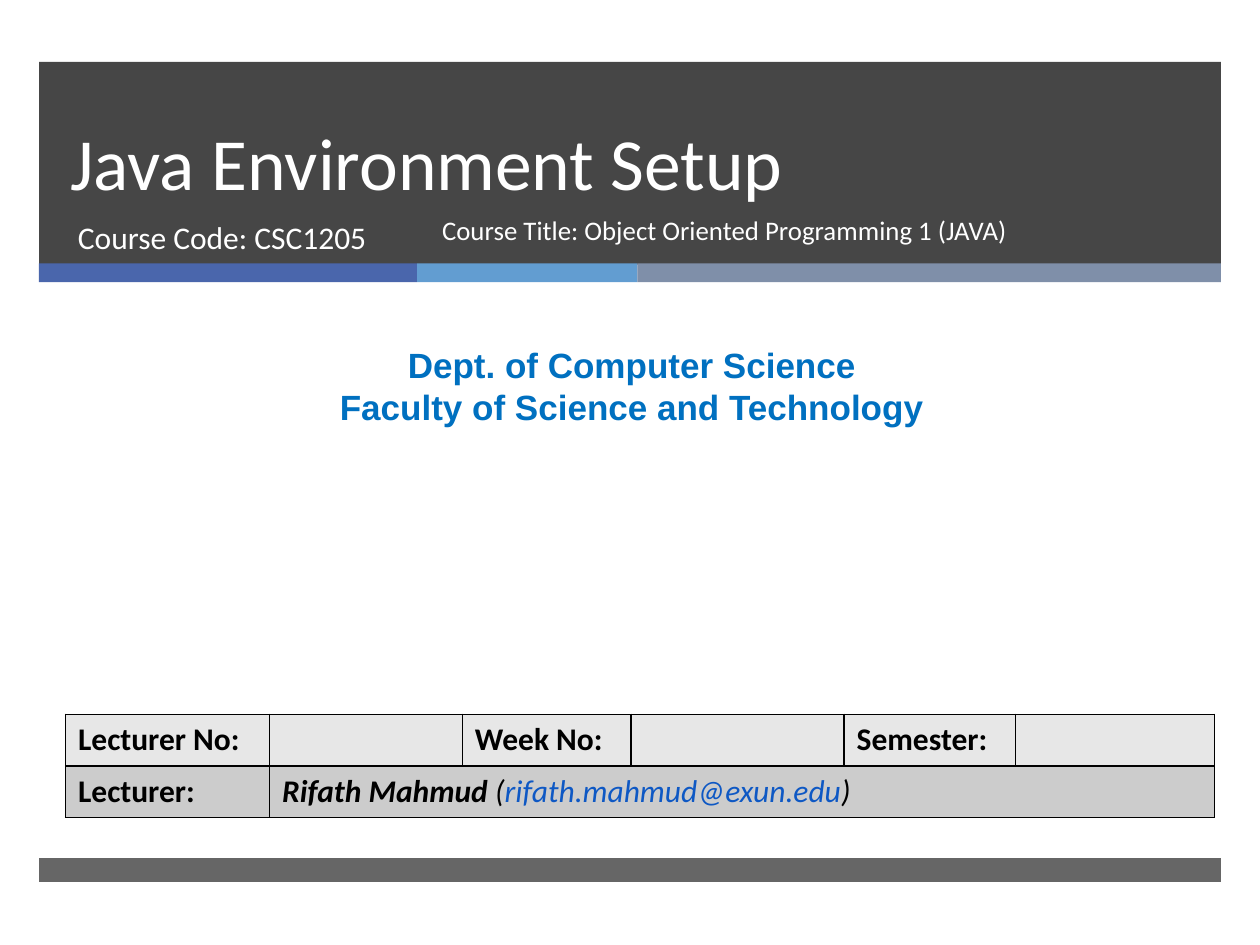
"""Build the title slide of a Java course lecture."""
from pptx import Presentation
from pptx.dml.color import RGBColor
from pptx.enum import shapes, text
from pptx.oxml import parse_xml
from pptx.oxml.ns import nsdecls
from pptx.util import Inches, Pt

HUE = {"dark": "262626", "navy": "4A66AC", "sky": "629DD1", "slate": "7F8FA9",
       "white": "FFFFFF", "blue": "0070C0", "black": "000000", "link": "0E58C4",
       "pale": "E7E7E7", "grey": "CCCCCC"}
LEFT, WIDE = 0.31, 9.38
BANDS = [(0.49, 1.61, 85, [("dark", WIDE)]),
         (2.09, 0.15, 100, [("navy", 3), ("sky", 1.75), ("slate", 4.63)]),
         (6.81, 0.19, 70, [("dark", WIDE)])]
TITLE = {"size": 42, "hue": "white"}
CODE = {"size": 18, "hue": "white"}
NAME = {"size": 15.3, "hue": "white"}
DEPT = {"size": 20, "hue": "blue", "font": "Arial", "bold": True}
BOXES = [
    ((0.46, 0.49, 8.54, 1.19), ["Java Environment Setup"], TITLE, Pt(46), "BOTTOM", "LEFT"),
    ((0.52, 1.68, 3.05, 0.53), ["Course Code: CSC1205"], CODE, None, "TOP", "LEFT"),
    ((0.08, 2.68, 9.87, 0.77),
     ["Dept. of Computer Science", "Faculty of Science and Technology"],
     DEPT, None, "TOP", "CENTER"),
    ((3.41, 1.68, 4.78, 0.53), ["Course Title: Object Oriented Programming 1 (JAVA)"],
     NAME, 0.9, "TOP", "LEFT"),
]
BOLD, SLANT = {"bold": True}, {"italic": True}
COLS = [1.62, 1.53, 1.34, 1.69, 1.36, 1.58]
ROW = 0.41
ROWS = [
    ("pale", {0: [("Lecturer No:", BOLD)], 2: [("Week No:", BOLD)],
              4: [("Semester:", BOLD)]}),
    ("grey", {0: [("Lecturer:", BOLD)],
              1: [("Rifath Mahmud", {**BOLD, **SLANT}), (" (", SLANT),
                  ("rifath.mahmud@exun.edu", {**SLANT, "hue": "link"}), (")", SLANT)]}),
]


def rgb(hue):
    return RGBColor.from_string(HUE[hue])


def add_run(para, words, size=18, hue="black", font="Calibri", bold=False, italic=False):
    run = para.add_run()
    run.text = words
    face = run.font
    face.name, face.size, face.bold, face.italic = font, Pt(size), bold, italic
    face.color.rgb = rgb(hue)


def add_bar(slide, left, top, width, height, hue, alpha):
    bar = slide.shapes.add_shape(shapes.MSO_SHAPE.RECTANGLE,
                                 *map(Inches, (left, top, width, height)))
    bar.shadow.inherit = False
    bar.line.fill.background()
    bar.fill.solid()
    bar.fill.fore_color.rgb = rgb(hue)
    if alpha < 100:
        tint = bar.fill._xPr.find(".//{*}srgbClr")
        tint.append(parse_xml(f'<a:alpha {nsdecls("a")} val="{alpha * 1000}"/>'))


def add_box(slide, place, lines, style, gap, anchor, align):
    frame = slide.shapes.add_textbox(*map(Inches, place)).text_frame
    frame.word_wrap = True
    frame.vertical_anchor = getattr(text.MSO_ANCHOR, anchor)
    for i, line in enumerate(lines):
        para = frame.add_paragraph() if i else frame.paragraphs[0]
        para.alignment = getattr(text.PP_ALIGN, align)
        if gap:
            para.line_spacing = gap
        add_run(para, line, **style)


def style_cell(cell, hue):
    props = cell._tc.get_or_add_tcPr()
    for side in ("lnL", "lnR", "lnT", "lnB"):
        props.append(parse_xml(
            f'<a:{side} {nsdecls("a")} w="12700"><a:solidFill>'
            f'<a:srgbClr val="{HUE["black"]}"/></a:solidFill></a:{side}>'))
    cell.fill.solid()
    cell.fill.fore_color.rgb = rgb(hue)


def add_grid(slide):
    place = (0.52, 5.67, sum(COLS), ROW * len(ROWS))
    grid = slide.shapes.add_table(len(ROWS), len(COLS), *map(Inches, place)).table
    for col, width in zip(grid.columns, COLS):
        col.width = Inches(width)
    for r, (hue, cells) in enumerate(ROWS):
        grid.rows[r].height = Inches(ROW)
        for c in range(len(COLS)):
            cell = grid.cell(r, c)
            style_cell(cell, hue)
            for words, style in cells.get(c, []):
                add_run(cell.text_frame.paragraphs[0], words, **style)
    grid.cell(1, 1).merge(grid.cell(1, len(COLS) - 1))


deck = Presentation()
deck.slide_width, deck.slide_height = Inches(10), Inches(7.5)
slide = deck.slides.add_slide(deck.slide_layouts[6])
for top, height, alpha, parts in BANDS:
    left = LEFT
    for hue, width in parts:
        add_bar(slide, left, top, width, height, hue, alpha)
        left += width
for box in BOXES:
    add_box(slide, *box)
add_grid(slide)
deck.save("out.pptx")
